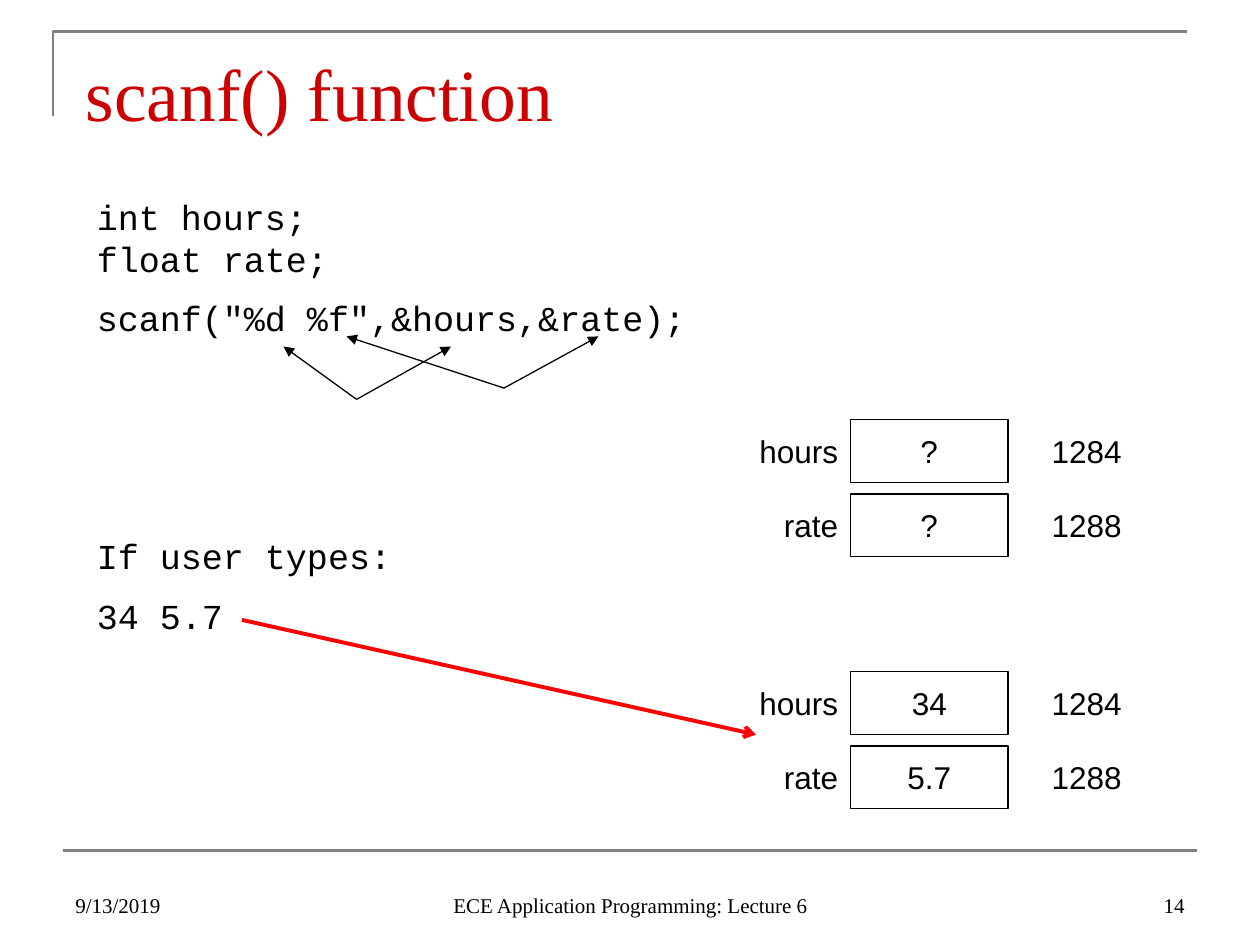
from lxml import etree
from pptx import Presentation
from pptx.dml.color import RGBColor
from pptx.enum.shapes import MSO_CONNECTOR, MSO_SHAPE
from pptx.enum.text import MSO_ANCHOR as Anchor, PP_ALIGN as Align
from pptx.oxml.ns import qn
from pptx.util import Inches, Pt

COLORS = {"text": "000000", "title": "CC0000", "rule": "808080", "input": "FF0000"}


def write(shape, text, font="Arial", size=18, color="text", align=Align.LEFT,
          anchor=Anchor.MIDDLE, before=(0,), line_spacing=None):
    """Fill a shape with one paragraph per line; before lists their space before in points."""
    frame = shape.text_frame
    frame.word_wrap = True
    frame.vertical_anchor = anchor
    frame.text = text
    for para, gap in zip(frame.paragraphs, before):
        para.alignment = align
        para.space_before = Pt(gap)
        if line_spacing:
            para.line_spacing = Pt(line_spacing)
        for span in para.runs:
            span.font.name = font
            span.font.size = Pt(size)
            span.font.color.rgb = RGBColor.from_string(COLORS[color])


def draw_line(start, end, color="text", width=0.75, head=None):
    line = slide.shapes.add_connector(
        MSO_CONNECTOR.STRAIGHT, *(Inches(value) for value in (*start, *end)))
    line.line.color.rgb = RGBColor.from_string(COLORS[color])
    line.line.width = Pt(width)
    if head:
        etree.SubElement(line.line._get_or_add_ln(), qn("a:tailEnd"), type=head)
    etree.SubElement(line._element.spPr, qn("a:effectLst"))


deck = Presentation()
deck.slide_width, deck.slide_height = Inches(10), Inches(7.5)
slide = deck.slides.add_slide(deck.slide_layouts[5])

# Frame and title
builder = slide.shapes.build_freeform(Inches(0.42), Inches(0.92))
builder.add_line_segments(
    [(Inches(0.42), Inches(0.25)), (Inches(9.42), Inches(0.25))], close=False)
corner = builder.convert_to_shape()
corner.shadow.inherit = False
corner.fill.background()
corner.line.color.rgb = RGBColor.from_string(COLORS["rule"])
corner.line.width = Pt(1.5)
draw_line((0.5, 6.75), (9.5, 6.75), "rule", 1.5)

title = slide.shapes.title
title.left, title.top = Inches(0.58), Inches(0.33)
title.width, title.height = Inches(8.5), Inches(0.75)
write(title, "scanf() function", font="Times New Roman", size=42, color="title",
      anchor=Anchor.TOP)

# Code and sample input
code = slide.shapes.add_textbox(Inches(0.67), Inches(1.5), Inches(5), Inches(3.77))
write(code, 'int hours;\vfloat rate;\nscanf("%d %f",&hours,&rate);\nIf user types:\n34 5.7',
      font="Courier New", size=20, anchor=Anchor.TOP, before=(0, 10, 112, 10),
      line_spacing=24)

# Memory before and after the call
for group_top, values in ((3.33, ("?", "?")), (5.33, ("34", "5.7"))):
    rows = zip(("hours", "rate"), values, ("1284", "1288"))
    for row, (name, value, address) in enumerate(rows):
        top, width, height = Inches(group_top + row * 0.59), Inches(1.25), Inches(0.5)
        cell = slide.shapes.add_shape(MSO_SHAPE.RECTANGLE, Inches(6.75), top, width, height)
        cell.shadow.inherit = False
        cell.fill.background()
        cell.line.color.rgb = RGBColor.from_string(COLORS["text"])
        cell.line.width = Pt(0.75)
        write(cell, value, align=Align.CENTER)
        for left, label, align in ((5.5, name, Align.RIGHT), (8, address, Align.CENTER)):
            box = slide.shapes.add_textbox(Inches(left), top, width, height)
            write(box, label, align=align)

# Each format specifier is paired with its argument
for joint, specifier, argument in (
    ((2.83, 3.17), (2.25, 2.75), (3.58, 2.75)),
    ((4, 3.08), (2.75, 2.67), (4.75, 2.67)),
):
    for target in (specifier, argument):
        draw_line(joint, target, head="triangle")
draw_line((1.92, 4.92), (6, 5.83), "input", 2.25, "arrow")

# Footer
for left, width, text, align in (
    (0.5, 2.33, "9/13/2019", Align.LEFT),
    (3.42, 3.17, "ECE Application Programming: Lecture 6", Align.CENTER),
    (7.17, 2.33, "14", Align.RIGHT),
):
    box = slide.shapes.add_textbox(Inches(left), Inches(6.83), Inches(width), Inches(0.5))
    write(box, text, font="Times New Roman", size=12, align=align, anchor=Anchor.BOTTOM)

deck.save("out.pptx")
